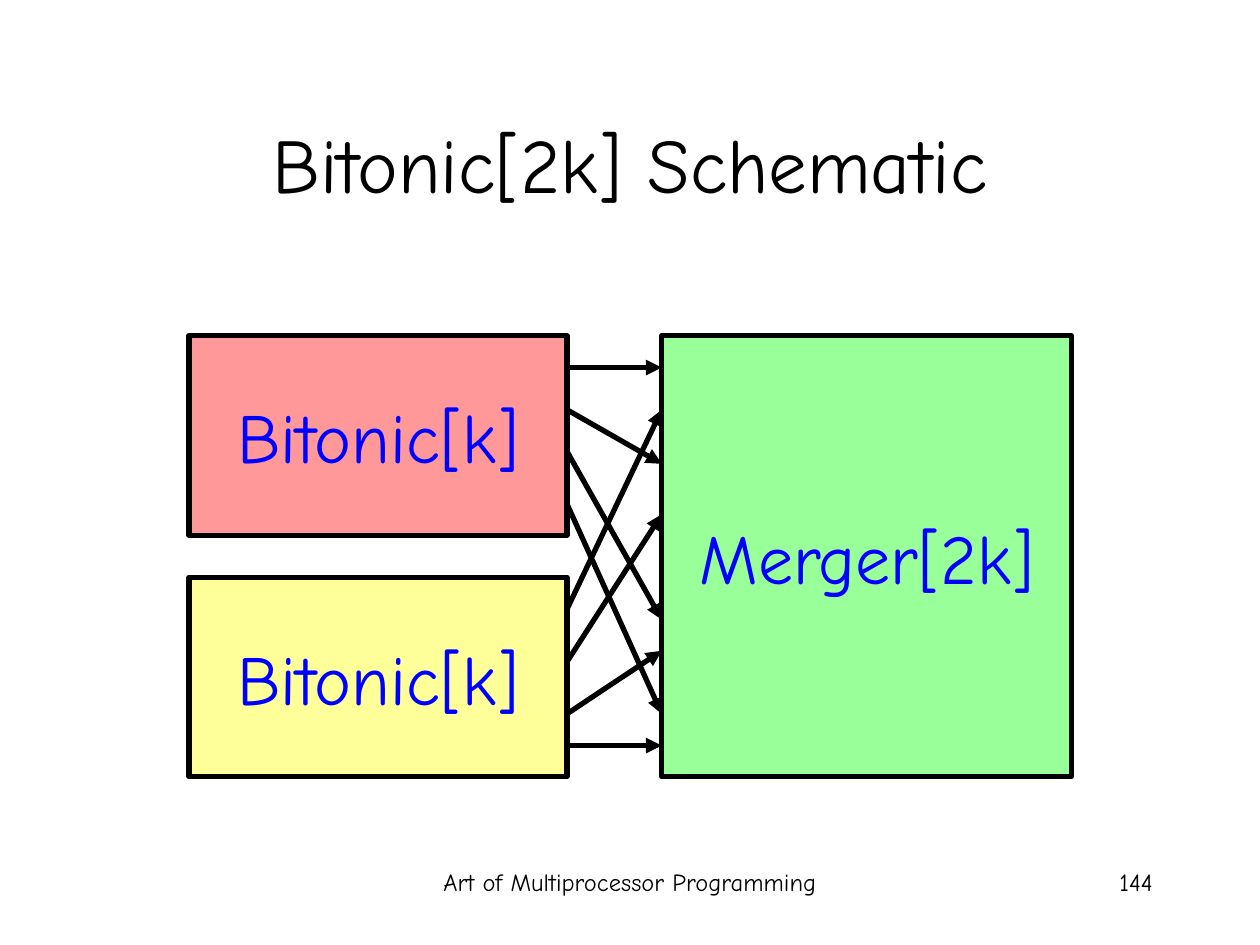
from dataclasses import dataclass

from lxml import etree
from pptx import Presentation
from pptx.dml.color import RGBColor
from pptx.enum.shapes import MSO_CONNECTOR, MSO_SHAPE
from pptx.enum.text import MSO_ANCHOR, PP_ALIGN
from pptx.oxml.ns import qn
from pptx.slide import Slide
from pptx.text.text import TextFrame
from pptx.util import Cm, Pt

RECTANGLE = MSO_SHAPE.RECTANGLE
STRAIGHT = MSO_CONNECTOR.STRAIGHT
MIDDLE, TOP = MSO_ANCHOR.MIDDLE, MSO_ANCHOR.TOP
CENTER, RIGHT = PP_ALIGN.CENTER, PP_ALIGN.RIGHT

BLACK = RGBColor(0x00, 0x00, 0x00)
BLUE = RGBColor(0x00, 0x00, 0xFF)
PINK = RGBColor(0xFF, 0x99, 0x99)
YELLOW = RGBColor(0xFF, 0xFF, 0x99)
GREEN = RGBColor(0x99, 0xFF, 0x99)

FONT = "Comic Neue"
LINE_WIDTH = Pt(3)
TITLE_ONLY = 5


@dataclass(frozen=True)
class Area:
    """A rectangle on the slide, in centimetres."""
    left: float
    top: float
    width: float
    height: float

    @property
    def right(self) -> float:
        return self.left + self.width


@dataclass(frozen=True)
class Network:
    label: str
    area: Area
    fill: RGBColor


@dataclass(frozen=True)
class Wire:
    """Heights of a wire's output and input ends, in centimetres."""
    output: float
    input: float


@dataclass(frozen=True)
class FooterText:
    text: str
    area: Area
    align: PP_ALIGN


UPPER = Network("Bitonic[k]", Area(3.81, 6.77, 7.62, 4.02), PINK)
LOWER = Network("Bitonic[k]", Area(3.81, 11.64, 7.62, 4.02), YELLOW)
MERGER = Network("Merger[2k]", Area(13.34, 6.77, 8.26, 8.89), GREEN)

WIRES = (
    Wire(7.41, 7.41),
    Wire(8.26, 9.35),
    Wire(9.1, 12.49),
    Wire(10.16, 14.39),
    Wire(12.28, 8.26),
    Wire(13.34, 10.37),
    Wire(14.39, 13.12),
    Wire(15.03, 15.03),
)

TITLE_AREA = Area(1.91, 1.69, 21.59, 3.18)
FOOTERS = (
    FooterText("Art of Multiprocessor Programming", Area(8.68, 17.36, 8.04, 1.27), CENTER),
    FooterText("144", Area(18.2, 17.36, 5.29, 1.27), RIGHT),
)


def lengths(area: Area) -> tuple[Cm, Cm, Cm, Cm]:
    return Cm(area.left), Cm(area.top), Cm(area.width), Cm(area.height)


def write_text(frame: TextFrame, text: str, size: int, color: RGBColor,
               align: PP_ALIGN = CENTER, anchor: MSO_ANCHOR = MIDDLE,
               wrap: bool = True) -> None:
    frame.word_wrap = wrap
    frame.vertical_anchor = anchor
    para = frame.paragraphs[0]
    para.alignment = align
    span = para.add_run()
    span.text = text
    for name, value in {"name": FONT, "size": Pt(size)}.items():
        setattr(span.font, name, value)
    span.font.color.rgb = color


def add_title(slide: Slide, text: str) -> None:
    title = slide.shapes.title
    for name, value in zip(("left", "top", "width", "height"), lengths(TITLE_AREA)):
        setattr(title, name, value)
    write_text(title.text_frame, text, 44, BLACK)


def add_network(slide: Slide, network: Network) -> None:
    box = slide.shapes.add_shape(RECTANGLE, *lengths(network.area))
    box.shadow.inherit = False
    box.fill.solid()
    box.fill.fore_color.rgb = network.fill
    box.line.color.rgb = BLACK
    box.line.width = LINE_WIDTH
    write_text(box.text_frame, network.label, 40, BLUE, wrap=False)


def add_wire(slide: Slide, wire: Wire) -> None:
    arrow = slide.shapes.add_connector(
        STRAIGHT, Cm(UPPER.area.right), Cm(wire.output),
        Cm(MERGER.area.left), Cm(wire.input))
    arrow.line.color.rgb = BLACK
    arrow.line.width = LINE_WIDTH
    properties = arrow.line._get_or_add_ln().getparent()
    etree.SubElement(properties.find(qn("a:ln")), qn("a:tailEnd"), type="triangle")
    etree.SubElement(properties, qn("a:effectLst"))


def add_footer(slide: Slide, footer: FooterText) -> None:
    box = slide.shapes.add_textbox(*lengths(footer.area))
    write_text(box.text_frame, footer.text, 14, BLACK, footer.align, TOP)


def main() -> None:
    deck = Presentation()
    deck.slide_width, deck.slide_height = Cm(25.4), Cm(19.05)
    slide = deck.slides.add_slide(deck.slide_layouts[TITLE_ONLY])
    add_title(slide, "Bitonic[2k] Schematic")
    for network in (UPPER, LOWER, MERGER):
        add_network(slide, network)
    for wire in WIRES:
        add_wire(slide, wire)
    for footer in FOOTERS:
        add_footer(slide, footer)
    deck.save("out.pptx")


if __name__ == "__main__":
    main()
